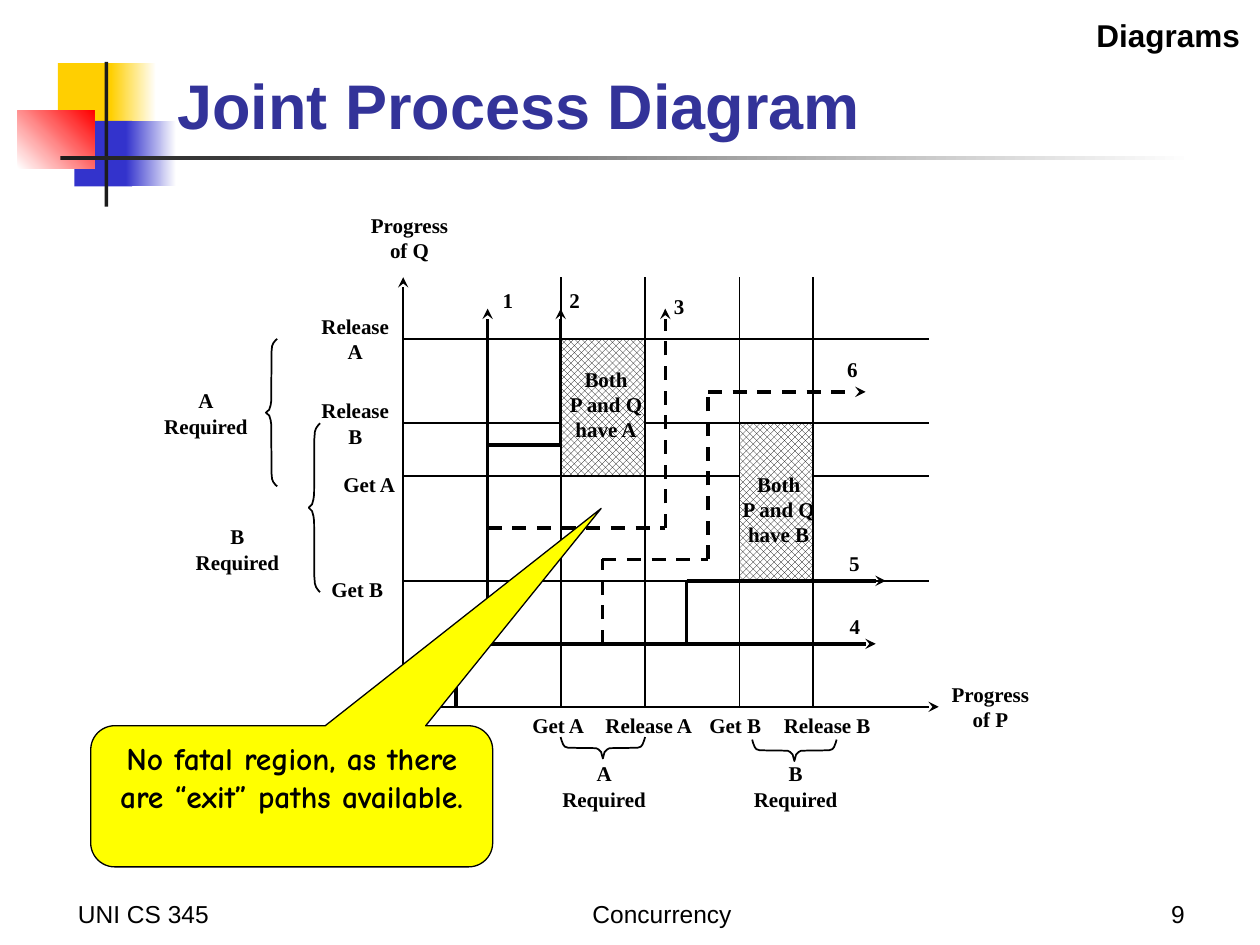
from itertools import pairwise

from pptx import Presentation
from pptx import util as u
from pptx.dml.color import RGBColor
from pptx.enum import dml, shapes, text
from pptx.oxml import ns
from pptx.oxml.xmlchemy import OxmlElement

PX = 9144
BLACK = RGBColor(0x00, 0x00, 0x00)
WHITE = RGBColor(0xFF, 0xFF, 0xFF)
GOLD = RGBColor(0xFF, 0xCF, 0x01)
BLUE = RGBColor(0x33, 0x33, 0xCC)
RED = RGBColor(0xFF, 0x00, 0x00)
CHARCOAL = RGBColor(0x1C, 0x1C, 0x1C)
NAVY = RGBColor(0x33, 0x33, 0x99)
YELLOW = RGBColor(0xFF, 0xFF, 0x00)

TITLE = {"name": "Arial", "size": u.Pt(36), "bold": True}
TOPIC = {"name": "Arial", "size": u.Pt(18), "bold": True}
FOOTER = {"name": "Arial", "size": u.Pt(14), "bold": False}
LABEL = {"name": "Times New Roman", "size": u.Pt(12), "bold": True}
NOTE = {"name": "Comic Neue", "size": u.Pt(18), "bold": True}

LEFT, CENTER, RIGHT = text.PP_ALIGN.LEFT, text.PP_ALIGN.CENTER, text.PP_ALIGN.RIGHT
TOP, BOTTOM = text.MSO_ANCHOR.TOP, text.MSO_ANCHOR.BOTTOM

deck = Presentation()
deck.slide_width, deck.slide_height = 1000 * PX, 750 * PX
slide = deck.slides.add_slide(deck.slide_layouts[6])
canvas = slide.shapes


def write(holder, words, font_format, align=CENTER, anchor=TOP, wrap=True, color=BLACK):
    frame = holder.text_frame
    frame.text = words
    frame.word_wrap = wrap
    frame.vertical_anchor = anchor
    for paragraph in frame.paragraphs:
        paragraph.alignment = align
        font = paragraph.runs[0].font
        for key, value in font_format.items():
            setattr(font, key, value)
        font.color.rgb = color


def stroke(start, end, weight=1, dashed=False, arrow=False):
    segment = canvas.add_connector(
        shapes.MSO_CONNECTOR.STRAIGHT, *(v * PX for v in (*start, *end)))
    segment.line.color.rgb = BLACK
    segment.line.width = u.Pt(weight)
    if dashed:
        segment.line.dash_style = dml.MSO_LINE.DASH
    properties = segment._element.spPr
    if arrow:
        tip = OxmlElement("a:tailEnd")
        tip.set("type", "stealth")
        properties.find(ns.qn("a:ln")).append(tip)
    properties.append(OxmlElement("a:effectLst"))


ornaments = [
    (46, 50, 48, 52, GOLD, None, 0),
    (88, 50, 36, 52, GOLD, WHITE, 0),
    (59, 96, 46, 52, BLUE, None, 0),
    (100, 96, 40, 52, BLUE, WHITE, 0),
    (14, 88, 61, 46, WHITE, RED, 45),
    (83, 49, 3, 115, CHARCOAL, None, 0),
    (48, 124, 900, 3, CHARCOAL, WHITE, 0),
]
for x, y, w, h, first, last, angle in ornaments:
    ornament = canvas.add_shape(
        shapes.MSO_SHAPE.RECTANGLE, x * PX, y * PX, w * PX, h * PX)
    ornament.shadow.inherit = False
    ornament.line.fill.background()
    if last is None:
        ornament.fill.solid()
        ornament.fill.fore_color.rgb = first
    else:
        ornament.fill.gradient()
        ornament.fill.gradient_angle = angle
        for stop, color in zip(ornament.fill.gradient_stops, (first, last)):
            stop.color.rgb = color

RELEASE_A, RELEASE_B, GET_A, GET_B = 269, 336, 378, 461
P_GET_A, P_RELEASE_A, P_GET_B, P_RELEASE_B = 445, 512, 587, 645
ORIGIN_X, ORIGIN_Y, GRID_TOP, GRID_RIGHT = 320, 561, 220, 737

for y in (RELEASE_A, RELEASE_B, GET_A, GET_B):
    stroke((ORIGIN_X, y), (GRID_RIGHT, y))
for x in (P_GET_A, P_RELEASE_A, P_GET_B, P_RELEASE_B):
    stroke((x, ORIGIN_Y), (x, GRID_TOP))
for axis_end in ((ORIGIN_X, GRID_TOP), (745, ORIGIN_Y)):
    stroke((ORIGIN_X, ORIGIN_Y), axis_end, arrow=True)

for x, y, right, bottom in [(P_GET_A, RELEASE_A, P_RELEASE_A, GET_A),
                            (P_GET_B, RELEASE_B, P_RELEASE_B, GET_B)]:
    overlap = canvas.add_shape(shapes.MSO_SHAPE.RECTANGLE,
                               x * PX, y * PX, (right - x) * PX, (bottom - y) * PX)
    overlap.shadow.inherit = False
    overlap.fill.patterned()
    overlap.fill.pattern = dml.MSO_PATTERN.from_xml("openDmnd")
    overlap.fill.fore_color.rgb = BLACK
    overlap.fill.back_color.rgb = WHITE
    overlap.line.color.rgb = BLACK
    overlap.line.width = u.Pt(1)

trajectories = [
    ([(362, ORIGIN_Y), (362, 511), (387, 511), (387, 245)], False),
    ([(387, 353), (P_GET_A, 353), (P_GET_A, 245)], False),
    ([(387, 419), (528, 419), (528, 245)], True),
    ([(387, 511), (695, 511)], False),
    ([(545, 511), (545, GET_B), (703, GET_B)], False),
    ([(478, 511), (478, 444), (562, 444), (562, 311), (687, 311)], True),
]
for corners, dashed in trajectories:
    for start, end in pairwise(corners):
        stroke(start, end, 2, dashed, arrow=end == corners[-1])

half_brace = [(0, 0), (0.01, 0.15), (0.03, 0.35), (0.05, 0.45), (0.09, 0.5),
              (0.42, 0.52), (0.45, 0.58), (0.48, 0.7), (0.49, 0.85), (0.5, 1)]
brace_profile = half_brace + [(1 - along, depth) for along, depth in half_brace[-2::-1]]
braces = [
    (220, 269, 117, 9, True),
    (254, 336, 134, 9, True),
    (445, 585, 67, 17, False),
    (597, 587, 67, 17, False),
]
for x, y, length, reach, upright in braces:
    points = [
        ((x - depth * reach) * PX, (y + along * length) * PX) if upright
        else ((x + along * length) * PX, (y + depth * reach) * PX)
        for along, depth in brace_profile
    ]
    outline = canvas.build_freeform(*points[0])
    outline.add_line_segments(points[1:], close=False)
    brace = outline.convert_to_shape()
    brace.shadow.inherit = False
    brace.fill.background()
    brace.line.color.rgb = BLACK
    brace.line.width = u.Pt(1)

labels = [
    ("Progress\nof Q", 284, 164, 82, 50),
    ("Release\nA", 245, 244, 74, 50),
    ("Release\nB", 245, 311, 74, 50),
    ("Get A", 262, 369, 62, 30),
    ("Get B", 253, 453, 61, 30),
    ("Get A", 412, 561, 62, 30),
    ("Release A", 470, 561, 90, 30),
    ("Get B", 553, 561, 61, 30),
    ("Release B", 612, 561, 89, 30),
    ("Progress\nof P", 745, 536, 82, 50),
    ("A\nRequired", 436, 599, 87, 50),
    ("B\nRequired", 588, 599, 87, 50),
    ("A\nRequired", 120, 303, 87, 50),
    ("B\nRequired", 145, 411, 87, 50),
    ("Both\nP and Q\nhave A", 442, 286, 78, 71),
    ("Both\nP and Q\nhave B", 579, 369, 78, 71),
    ("1", 389, 223, 28, 30),
    ("2", 442, 223, 28, 30),
    ("3", 525, 228, 28, 30),
    ("4", 664, 482, 29, 30),
    ("5", 664, 432, 28, 30),
    ("6", 662, 278, 29, 30),
]
for words, x, y, w, h in labels:
    label = canvas.add_textbox(x * PX, y * PX, w * PX, h * PX)
    write(label, words, LABEL, wrap=False)

headings = [
    ("Joint Process Diagram", 131, 23, 852, 95, TITLE, LEFT, BOTTOM, NAVY),
    ("Diagrams", 707, 8, 287, 40, TOPIC, RIGHT, TOP, BLACK),
    ("UNI CS 345", 52, 692, 208, 50, FOOTER, LEFT, BOTTOM, BLACK),
    ("Concurrency", 367, 692, 317, 50, FOOTER, CENTER, BOTTOM, BLACK),
    ("9", 742, 692, 208, 50, FOOTER, RIGHT, BOTTOM, BLACK),
]
for words, x, y, w, h, font_format, align, anchor, color in headings:
    heading = canvas.add_textbox(x * PX, y * PX, w * PX, h * PX)
    write(heading, words, font_format, align, anchor, color=color)

callout = canvas.add_shape(shapes.MSO_SHAPE.ROUNDED_RECTANGULAR_CALLOUT,
                           72 * PX, 576 * PX, 319 * PX, 112 * PX)
for index, value in enumerate((0.77, -2.04, 0.17)):
    callout.adjustments[index] = value
callout.shadow.inherit = False
callout.fill.solid()
callout.fill.fore_color.rgb = YELLOW
callout.line.color.rgb = BLACK
callout.line.width = u.Pt(0.75)
write(callout, "No fatal region, as there are “exit” paths available.", NOTE)

deck.save("out.pptx")
